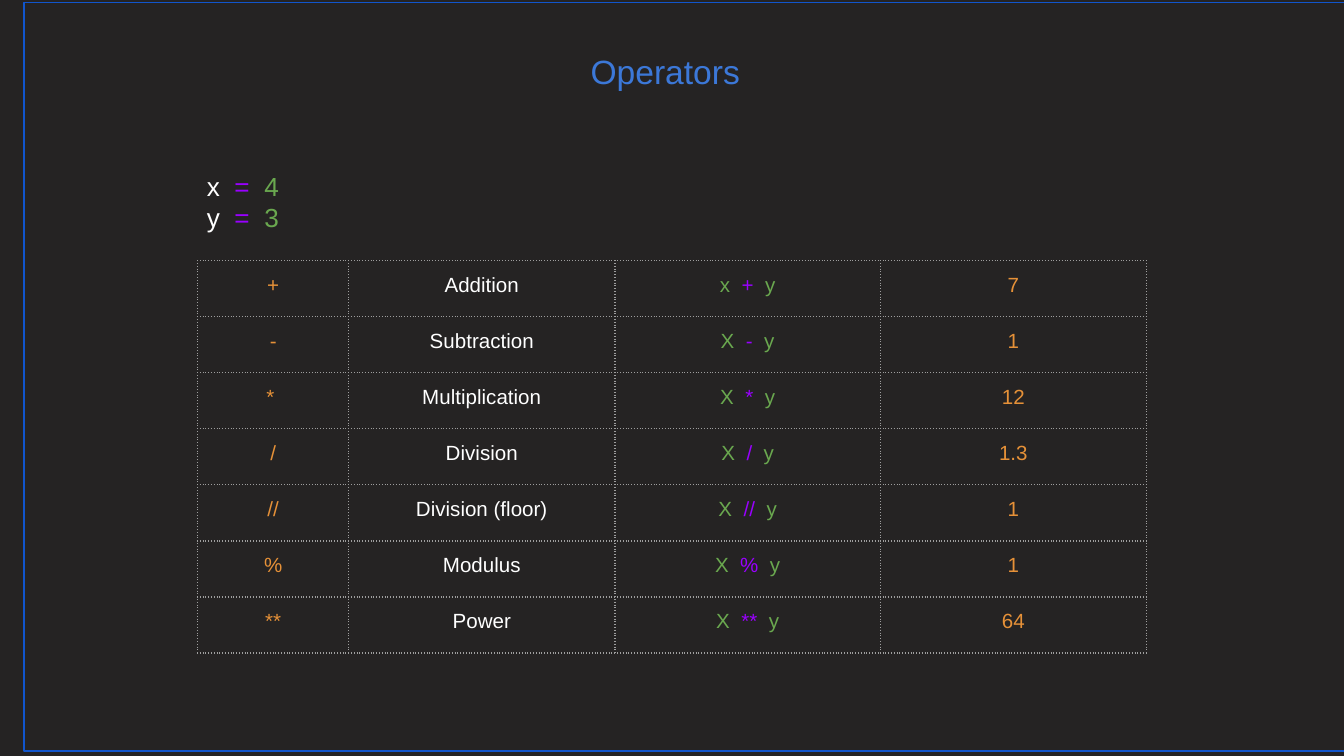
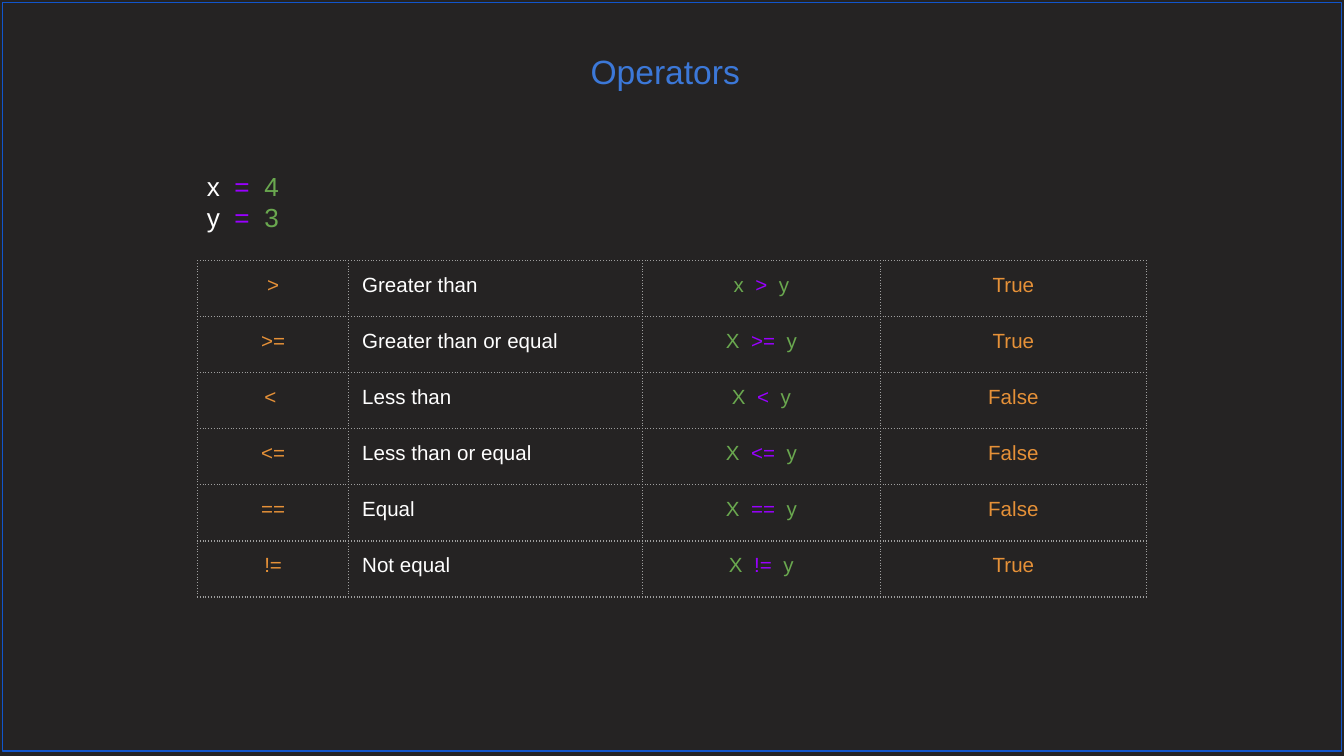
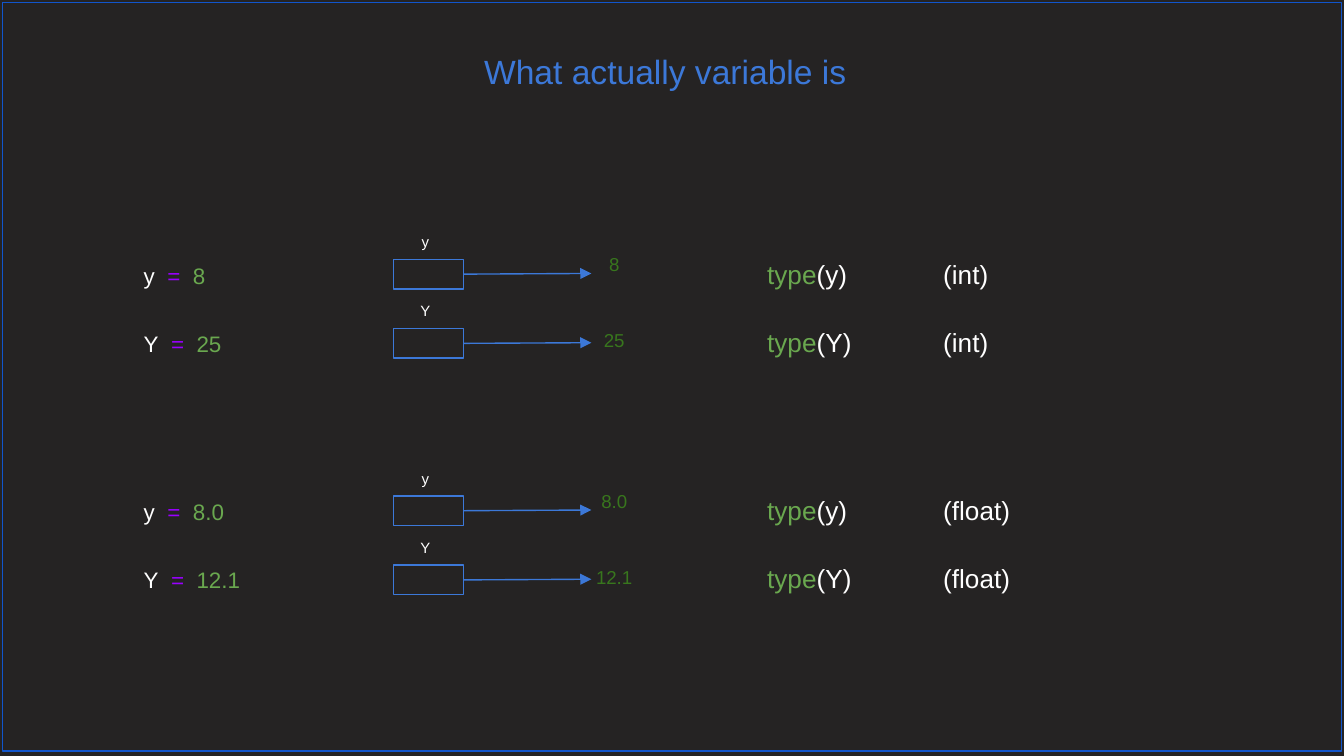
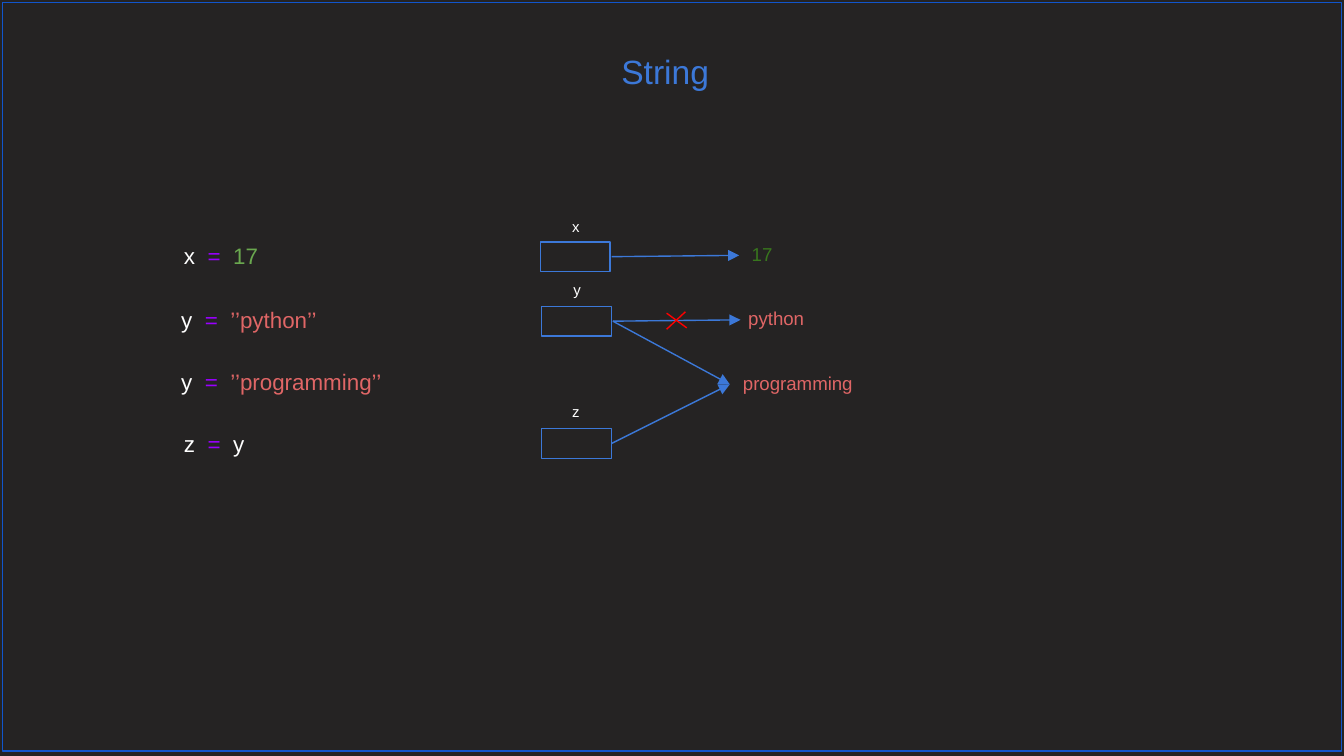
import pptx
import pptx.dml.color
import pptx.enum.dml
import pptx.enum.shapes
import pptx.enum.text
import pptx.oxml
import pptx.oxml.ns
import pptx.util
from lxml import etree

RGB = pptx.dml.color.RGBColor
ALIGN = pptx.enum.text.PP_ALIGN
SHAPE = pptx.enum.shapes.MSO_SHAPE
qn = pptx.oxml.ns.qn

# Colours and type
BACKGROUND = RGB(0x25, 0x23, 0x23)
FRAME = RGB(0x11, 0x55, 0xCC)
BLUE = RGB(0x3C, 0x78, 0xD8)
WHITE = RGB(0xFF, 0xFF, 0xFF)
PURPLE = RGB(0x99, 0x00, 0xFF)
GREEN = RGB(0x6A, 0xA8, 0x4F)
DARK_GREEN = RGB(0x38, 0x76, 0x1D)
ORANGE = RGB(0xE6, 0x91, 0x38)
PINK = RGB(0xE0, 0x66, 0x66)
RED = RGB(0xFF, 0x00, 0x00)
BORDER = RGB(0x9E, 0x9E, 0x9E)
FONT = "Arial"
SPACE_WIDTH = 0.278  # width of a space in Arial, in ems

# The slide is a grid of 100 columns; rows are as high as columns are wide
COLUMNS, ROWS = 100, 56.25
UNIT = pptx.util.Inches(0.1)
MARGIN = UNIT
LINE_WIDTH = pptx.util.Pt(0.75)
TABLE_TOP, TABLE_ROW = 19.4, 4.17
BOX_W, BOX_H = 5.2, 2.2


def grid(*lengths):
    return [round(n * UNIT) for n in lengths]


# Text
def add_run(p, text, color, size):
    r = p.add_run()
    r.text = text
    r.font.name, r.font.size = FONT, pptx.util.Pt(size)
    r.font.color.rgb = color
    return r


def write(p, runs, size, align=ALIGN.LEFT, gaps=False):
    """Write (text, colour) runs; gaps puts a double-width space between them."""
    p.alignment = align
    for i, (text, color) in enumerate(runs):
        if gaps and i:
            r = add_run(p, " ", color, size)
            r.font._element.set("spc", str(round(SPACE_WIDTH * size * 100)))
        add_run(p, text, color, size)


def add_text(slide, x, y, w, h, runs, size, align=ALIGN.LEFT, gaps=False):
    tf = slide.shapes.add_textbox(*grid(x, y, w, h)).text_frame
    tf.word_wrap = True
    tf.auto_size = pptx.enum.text.MSO_AUTO_SIZE.SHAPE_TO_FIT_TEXT
    tf.margin_left = tf.margin_right = tf.margin_top = tf.margin_bottom = MARGIN
    write(tf.paragraphs[0], runs, size, align, gaps)
    return tf


def add_assignment(slide, x, y, w, name, value, color, size=12):
    runs = [(name, WHITE), ("=", PURPLE), (value, color)]
    add_text(slide, x, y, w, 4, runs, size, gaps=True)


# Shapes and lines
def add_outline(slide, x, y, w, h, color):
    s = slide.shapes.add_shape(SHAPE.RECTANGLE, *grid(x, y, w, h))
    s.shadow.inherit = False
    s.fill.background()
    s.line.color.rgb, s.line.width = color, LINE_WIDTH


def add_line(slide, x1, y1, x2, y2, color=BLUE, arrow=True):
    kind = pptx.enum.shapes.MSO_CONNECTOR.STRAIGHT
    c = slide.shapes.add_connector(kind, *grid(x1, y1, x2, y2))
    c.line.color.rgb, c.line.width = color, LINE_WIDTH
    if arrow:
        ln = c.line._get_or_add_ln()
        etree.SubElement(ln, qn("a:tailEnd"), type="triangle", w="med", len="med")
    etree.SubElement(c._element.spPr, qn("a:effectLst"))


def add_variable(slide, x, y, name, label_x, label_y):
    add_outline(slide, x, y, BOX_W, BOX_H, BLUE)
    add_text(slide, label_x, label_y, 3.3, 3.4, [(name, WHITE)], 8, ALIGN.CENTER)


# Tables
def add_borders(cell):
    tcPr = cell._tc.get_or_add_tcPr()
    for i, side in enumerate(("lnL", "lnR", "lnT", "lnB")):
        ln = etree.Element(qn("a:" + side), w=str(LINE_WIDTH))
        fill = etree.SubElement(ln, qn("a:solidFill"))
        etree.SubElement(fill, qn("a:srgbClr"), val=str(BORDER))
        etree.SubElement(ln, qn("a:prstDash"), val="dot")
        tcPr.insert(i, ln)


def add_table(slide, x, widths, rows, aligns):
    """Each cell is a list of (text, colour) runs."""
    box = grid(x, TABLE_TOP, sum(widths), TABLE_ROW * len(rows))
    table = slide.shapes.add_table(len(rows), len(widths), *box).table
    table.first_row = table.horz_banding = False
    for column, width in zip(table.columns, grid(*widths)):
        column.width = width
    for i, row in enumerate(rows):
        table.rows[i].height = grid(TABLE_ROW)[0]
        for j, runs in enumerate(row):
            cell = table.cell(i, j)
            cell.margin_left = cell.margin_right = MARGIN
            cell.margin_top = cell.margin_bottom = MARGIN
            cell.fill.background()
            add_borders(cell)
            write(cell.text_frame.paragraphs[0], runs, 11, aligns[j], gaps=True)


# Slides
def add_slide(prs):
    return prs.slides.add_slide(prs.slide_layouts[6])


def finish_slide(slide, title, frame_x=0.2):
    tf = add_text(slide, -0.5, 2.8, COLUMNS, 6.3, [(title, BLUE)], 18, ALIGN.CENTER)
    tf.auto_size = pptx.enum.text.MSO_AUTO_SIZE.NONE
    add_outline(slide, frame_x, 0.2, COLUMNS - 0.4, ROWS - 0.55, FRAME)


def operator_slide(prs, operators, name_w, name_align, frame_x):
    slide = add_slide(prs)
    for y, name, value in ((11.7, "x", "4"), (14, "y", "3")):
        add_assignment(slide, 14.4, y, 14.5, name, value, GREEN, 14)

    symbol_x, symbol_w, result_x, result_w = 14.7, 11.25, 65.5, 19.8
    example_x = symbol_x + symbol_w + name_w
    names, examples, results = [], [], []
    for i, (symbol, name, result) in enumerate(operators):
        names.append([[(symbol, ORANGE)], [(name, WHITE)]])
        left = "X" if i else "x"
        examples.append([[(left, GREEN), (symbol.strip(), PURPLE), ("y", GREEN)]])
        results.append([[(result, ORANGE)]])
    center = ALIGN.CENTER
    add_table(slide, result_x, [result_w], results, [center])
    add_table(slide, symbol_x, [symbol_w, name_w], names, [center, name_align])
    add_table(slide, example_x, [result_x - example_x], examples, [center])
    finish_slide(slide, "Operators", frame_x)


def variable_slide(prs):
    slide = add_slide(prs)
    groups = (("int", ("8", "25")), ("float", ("8.0", "12.1")))
    for group, (kind, values) in enumerate(groups):
        top = 17.6 * group
        for row, (name, value) in enumerate(zip("yY", values)):
            box_y = top + 19.3 + 5.15 * row
            text_y = top + 18.2 + 5.05 * row
            middle = box_y + BOX_H / 2
            add_variable(slide, 29.3, box_y, name, 30, box_y - 2.65)
            add_line(slide, 34.5, middle, 44, middle - 0.05)
            add_text(slide, 43.2, top + 18 + 5.65 * row, 5, 3.7,
                     [(value, DARK_GREEN)], 10, ALIGN.CENTER)
            add_text(slide, 69.2, text_y, 7.7, 4.4, [(f"({kind})", WHITE)], 14)
            add_assignment(slide, 9.7, text_y + 0.3, 14.5, name, value, GREEN)
            add_text(slide, 56.1, text_y, 16.7, 4.4,
                     [("type", GREEN), (f"({name})", WHITE)], 14)
    finish_slide(slide, "What actually variable is")


def string_slide(prs):
    slide = add_slide(prs)
    # Variables and the values they point to
    for x, y, name, label_x, label_y in (
            (40.3, 22.8, "y", 41.3, 20.2),
            (40.2, 18, "x", 41.2, 15.5),
            (40.3, 31.9, "z", 41.2, 29.3)):
        add_variable(slide, x, y, name, label_x, label_y)
    for x, y, w, value, color, align in (
            (54.3, 22, 6.9, "python", PINK, ALIGN.CENTER),
            (54.2, 17.2, 5, "17", DARK_GREEN, ALIGN.CENTER),
            (54.3, 26.8, 11.4, "programming", PINK, ALIGN.LEFT)):
        add_text(slide, x, y, w, 3.7, [(value, color)], 10, align)
    for ends in ((45.6, 23.9, 55.1, 23.8), (45.5, 19.1, 55, 19),
                 (45.6, 23.9, 54.3, 28.6), (45.5, 33, 54.3, 28.6)):
        add_line(slide, *ends)
    # Cross over the dropped reference
    for ends in ((49.6, 23.3, 51.1, 24.4), (51, 23.2, 49.6, 24.5)):
        add_line(slide, *ends, color=RED, arrow=False)
    # Code
    for x, y, name, value, color in (
            (12.7, 17, "x", "17", GREEN),
            (12.5, 21.8, "y", "’’python’’", PINK),
            (12.5, 26.4, "y", "’’programming’’", PINK),
            (12.7, 31, "z", "y", WHITE)):
        add_assignment(slide, x, y, 18.8, name, value, color)
    finish_slide(slide, "String")


def main():
    prs = pptx.Presentation()
    prs.slide_width, prs.slide_height = grid(COLUMNS, ROWS)
    fill = prs.slide_master.background.fill
    fill.solid()
    fill.fore_color.rgb = BACKGROUND

    arithmetic = [
        ("+", "Addition", "7"), ("-", "Subtraction", "1"),
        ("* ", "Multiplication", "12"), ("/", "Division", "1.3"),
        ("//", "Division (floor)", "1"), ("%", "Modulus", "1"),
        ("**", "Power", "64"),
    ]
    comparison = [
        (">", "Greater than", "True"), (">=", "Greater than or equal", "True"),
        ("< ", "Less than", "False"), ("<=", "Less than or equal", "False"),
        ("==", "Equal", "False"), ("!=", "Not equal", "True"),
    ]
    operator_slide(prs, arithmetic, 19.8, ALIGN.CENTER, 1.8)
    operator_slide(prs, comparison, 21.85, ALIGN.LEFT, 0.2)
    variable_slide(prs)
    string_slide(prs)
    prs.save("out.pptx")


if __name__ == "__main__":
    main()
